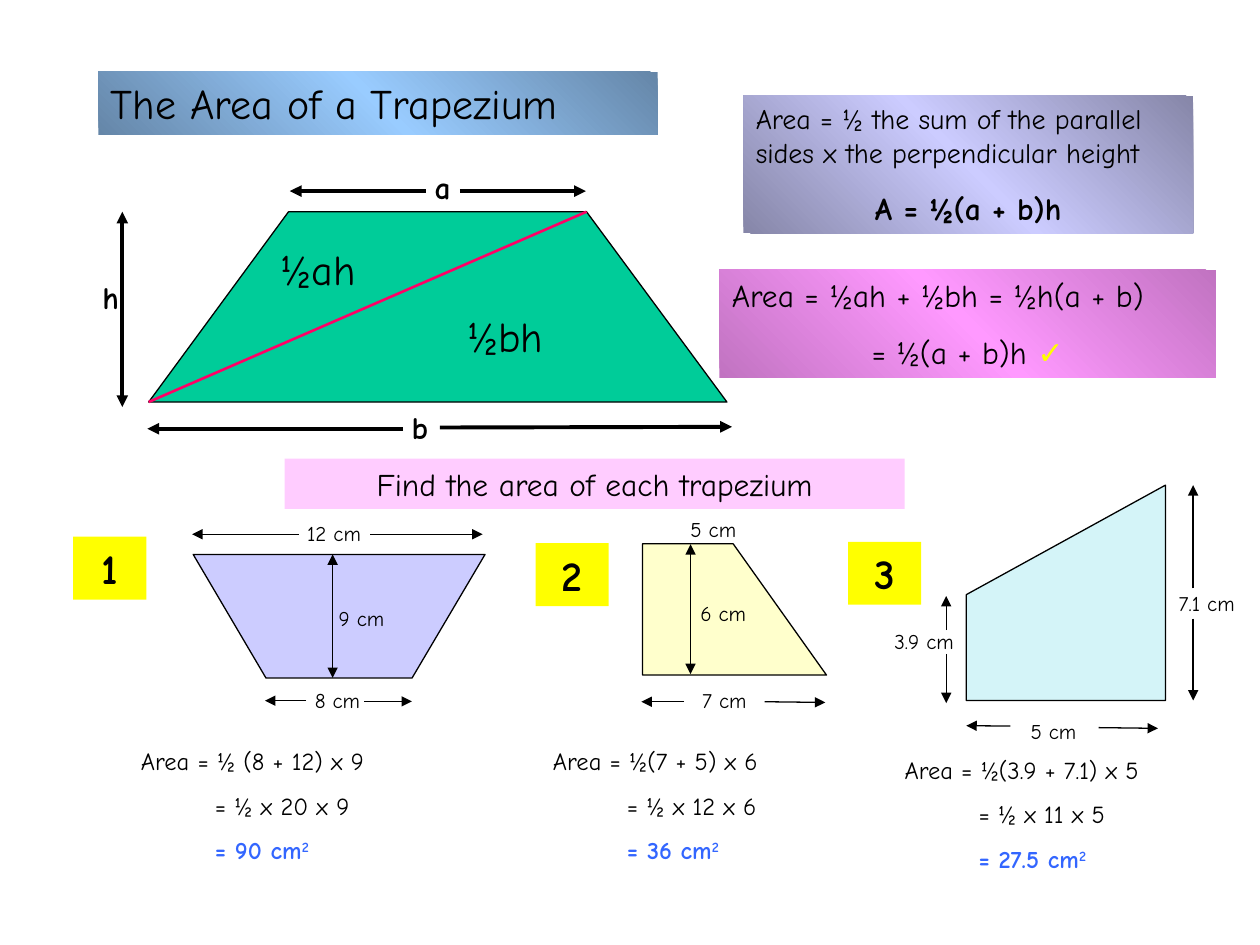
"""Build a slide on the area of a trapezium with three worked examples."""
from copy import deepcopy
from dataclasses import dataclass
from typing import NamedTuple, Optional

from lxml.etree import SubElement
from pptx import Presentation
from pptx.dml.color import RGBColor
from pptx.enum.shapes import MSO_CONNECTOR, MSO_SHAPE
from pptx.enum.text import MSO_ANCHOR, MSO_AUTO_SIZE, PP_ALIGN
from pptx.oxml.ns import qn
from pptx.util import Pt

COLORS = {
    "black": "000000", "title": "99CCFF", "title_edge": "6586A8",
    "formula": "CCCCFF", "formula_edge": "8686A8",
    "proof": "FF99FF", "proof_edge": "C173C1", "task": "FFCCFF",
    "badge": "FFFF00", "green": "00CC99", "diagonal": "FF0066",
    "lilac": "CCCCFF", "cream": "FFFFCC", "aqua": "D4F4F8", "answer": "3366FF",
}
FONT = "Comic Neue"


class Box(NamedTuple):
    left: float
    top: float
    width: float
    height: float


class Label(NamedTuple):
    text: str
    left: float
    top: float
    width: float = 50.4


class Arrow(NamedTuple):
    x1: float
    y1: float
    x2: float
    y2: float
    both_ends: bool = False


@dataclass
class Example:
    number: str
    badge: tuple
    outline: list
    color: str
    labels: list
    arrows: list
    working: Box
    steps: list
    answer: str


EXAMPLES = [
    Example("1", (41.8, 306.7), [(110.4, 316.8), (277.2, 316.8), (235.5, 387.4), (152, 387.4)],
            "lilac",
            [Label("12 cm", 168.5, 293.8), Label("9 cm", 186.5, 342.7), Label("8 cm", 172.8, 389.5)],
            [Arrow(190.1, 316.8, 190.1, 387.4, True),
             Arrow(211.7, 305.3, 275.8, 305.3), Arrow(170.6, 305.3, 109.8, 305.3),
             Arrow(208.1, 400.8, 235.4, 400.8), Arrow(175, 400.4, 151.4, 400.4)],
            Box(73.4, 422.6, 200.2, 75.6),
            ["Area = ½ (8 + 12) x 9", "= ½ x 20 x 9"], "= 90 cm"),
    Example("2", (306, 310.4), [(367.2, 310.8), (367.2, 385.8), (472.3, 385.8), (419, 310.8)],
            "cream",
            [Label("5 cm", 387.4, 291.6), Label("6 cm", 393.1, 339.8), Label("7 cm", 394.2, 389.5)],
            [Arrow(394.6, 311, 394.6, 385.2, True),
             Arrow(437, 401, 471.6, 401.4), Arrow(391, 401, 366.5, 401)],
            Box(308.9, 422.6, 172.8, 75.6),
            ["Area = ½(7 + 5) x 6", "= ½ x 12 x 6"], "= 36 cm"),
    Example("3", (484.6, 309.6), [(552.2, 400.3), (666, 400.3), (666, 277.2), (552.2, 339.8)],
            "aqua",
            [Label("5 cm", 581.8, 406.8, 61.9), Label("3.9 cm", 504, 355.5, 61.9),
             Label("7.1 cm", 666.5, 334.1, 53.3)],
            [Arrow(627.8, 415.8, 661.7, 416.2), Arrow(577.4, 414.9, 552.2, 414.7),
             Arrow(540.7, 373.7, 540.7, 401.8), Arrow(540.7, 360, 540.7, 340.6),
             Arrow(681.8, 353.5, 681.8, 400.3), Arrow(681.8, 336.2, 681.8, 277.2)],
            Box(509.8, 427.7, 172.8, 75.6),
            ["Area = ½(3.9 + 7.1) x 5", "= ½ x 11 x 5"], "= 27.5 cm"),
]


def rgb(name: str) -> RGBColor:
    """Return the named colour."""
    return RGBColor.from_string(COLORS[name])


def add_frame(slide, box: Box, color: Optional[str] = None, gradient: bool = False):
    """Add a text box, or a filled panel when a colour is given, and return its text frame."""
    area = [Pt(length) for length in box]
    if color is None:
        holder = slide.shapes.add_textbox(*area)
    else:
        holder = slide.shapes.add_shape(MSO_SHAPE.RECTANGLE, *area)
        holder.shadow.inherit = False
        holder.line.fill.background()
        if gradient:
            shade_panel(holder.fill, color)
        else:
            holder.fill.solid()
            holder.fill.fore_color.rgb = rgb(color)
    frame = holder.text_frame
    frame.word_wrap = True
    frame.auto_size = MSO_AUTO_SIZE.SHAPE_TO_FIT_TEXT
    frame.vertical_anchor = MSO_ANCHOR.TOP
    return frame


def shade_panel(fill, color: str) -> None:
    """Shade a fill diagonally from its edge colour to its main colour and back."""
    fill.gradient()
    fill.gradient_angle = 225
    first = fill.gradient_stops[0]._gs
    first.addnext(deepcopy(first))
    shades = (f"{color}_edge", color, f"{color}_edge")
    for stop, position, shade in zip(fill.gradient_stops, (0, 0.5, 1), shades):
        stop.position = position
        stop.color.rgb = rgb(shade)


def add_line(frame, align=PP_ALIGN.LEFT, space: float = 0, indent: float = 0):
    """Return the empty first paragraph of a frame, or a new one after it."""
    line = frame.paragraphs[0]
    if line.runs:
        line = frame.add_paragraph()
        line.space_before = Pt(space)
    line.alignment = align
    if indent:
        properties = line._p.get_or_add_pPr()
        properties.set("marL", str(Pt(indent)))
        properties.set("indent", "0")
    return line


def write(line, text: str, *, size: float = 18, bold: bool = False, color: str = "black",
          font: str = FONT, raised: bool = False) -> None:
    """Append formatted text to a paragraph."""
    run = line.add_run()
    run.text = text
    run.font.size = Pt(size)
    run.font.bold = bold
    run.font.name = font
    run.font.color.rgb = rgb(color)
    if raised:
        run._r.get_or_add_rPr().set("baseline", "30000")


def draw_outline(slide, points: list, color: str) -> None:
    """Draw a closed, filled polygon with a thin black edge."""
    corners = [(Pt(x), Pt(y)) for x, y in points]
    builder = slide.shapes.build_freeform(*corners[0])
    builder.add_line_segments(corners[1:], close=True)
    polygon = builder.convert_to_shape()
    polygon.shadow.inherit = False
    polygon.fill.solid()
    polygon.fill.fore_color.rgb = rgb(color)
    polygon.line.color.rgb = rgb("black")
    polygon.line.width = Pt(0.75)


def draw_arrow(slide, arrow: Arrow, width: float = 0.75, color: str = "black",
               pointed: bool = True) -> None:
    """Draw a straight line, with arrowheads when pointed."""
    ends = [Pt(length) for length in arrow[:4]]
    connector = slide.shapes.add_connector(MSO_CONNECTOR.STRAIGHT, *ends)
    connector.line.color.rgb = rgb(color)
    connector.line.width = Pt(width)
    properties = connector._element.spPr
    SubElement(properties, qn("a:effectLst"))
    if pointed:
        stroke = properties.find(qn("a:ln"))
        for tag in ("a:headEnd", "a:tailEnd")[0 if arrow.both_ends else 1:]:
            SubElement(stroke, qn(tag)).set("type", "triangle")


def draw_label(slide, label: Label, height: float = 21.6, **style) -> None:
    """Draw a one-line label."""
    frame = add_frame(slide, Box(label.left, label.top, label.width, height))
    write(add_line(frame), label.text, **style)


def draw_theory(slide) -> None:
    """Draw the title, the split trapezium and the formula panels."""
    draw_outline(slide, [(85, 229.7), (415.4, 229.7), (335.2, 121), (164.9, 121)], "green")
    title = add_frame(slide, Box(56.2, 41, 319.7, 36), "title", gradient=True)
    write(add_line(title), "The Area of a Trapezium", size=24)

    formula = add_frame(slide, Box(424.8, 54.7, 257, 78.5), "formula", gradient=True)
    write(add_line(formula),
          "Area = ½ the sum of the parallel sides x the perpendicular height", size=16)
    write(add_line(formula, PP_ALIGN.CENTER, 11.2), "A = ½(a + b)h", bold=True)

    for arrow in (Arrow(230.4, 245, 84.2, 245), Arrow(251.3, 244.3, 418.3, 243.9),
                  Arrow(262.8, 109.2, 334.8, 109.2), Arrow(243.4, 109.2, 165.6, 109.2),
                  Arrow(69.9, 121, 69.9, 232.6, True)):
        draw_arrow(slide, arrow, 2.25)
    for label in (Label("a", 241.2, 92.2, 25.2), Label("b", 228.2, 229.7, 25.2),
                  Label("h", 51.4, 155.5, 44)):
        draw_label(slide, label, 28.8, bold=True)
    draw_arrow(slide, Arrow(85, 229.7, 335.2, 121), 1.5, "diagonal", pointed=False)
    for label in (Label("½ah", 153.4, 135.4, 76.3), Label("½bh", 259.9, 174.2, 76.3)):
        draw_label(slide, label, 36, size=24)

    proof = add_frame(slide, Box(411.1, 154.1, 283.7, 61.9), "proof", gradient=True)
    write(add_line(proof), "Area = ½ah + ½bh = ½h(a + b)")
    result = add_line(proof, PP_ALIGN.CENTER, 11.2)
    write(result, "= ½(a + b)h ")
    write(result, "✓", bold=True, color="badge", font="Arial")


def draw_example(slide, example: Example) -> None:
    """Draw a numbered trapezium with its dimensions and worked answer."""
    draw_outline(slide, example.outline, example.color)
    badge = add_frame(slide, Box(*example.badge, 41.8, 36), "badge")
    write(add_line(badge, PP_ALIGN.CENTER), example.number, size=24, bold=True)
    for arrow in example.arrows:
        draw_arrow(slide, arrow)
    for label in example.labels:
        draw_label(slide, label, size=12)
    working = add_frame(slide, example.working)
    for step, indent in zip(example.steps, (0, 42.3)):
        write(add_line(working, space=8.8, indent=indent), step, size=14)
    answer = add_line(working, space=8.8, indent=42.3)
    write(answer, example.answer, size=14, bold=True, color="answer")
    write(answer, "2", size=14, bold=True, color="answer", raised=True)


def main() -> None:
    """Build and save the slide."""
    deck = Presentation()
    deck.slide_width, deck.slide_height = Pt(720), Pt(540)
    slide = deck.slides.add_slide(deck.slide_layouts[6])
    draw_theory(slide)
    task = add_frame(slide, Box(162.7, 262.1, 354.2, 28.8), "task")
    write(add_line(task, PP_ALIGN.CENTER), "Find the area of each trapezium")
    for example in EXAMPLES:
        draw_example(slide, example)
    deck.save("out.pptx")


if __name__ == "__main__":
    main()
